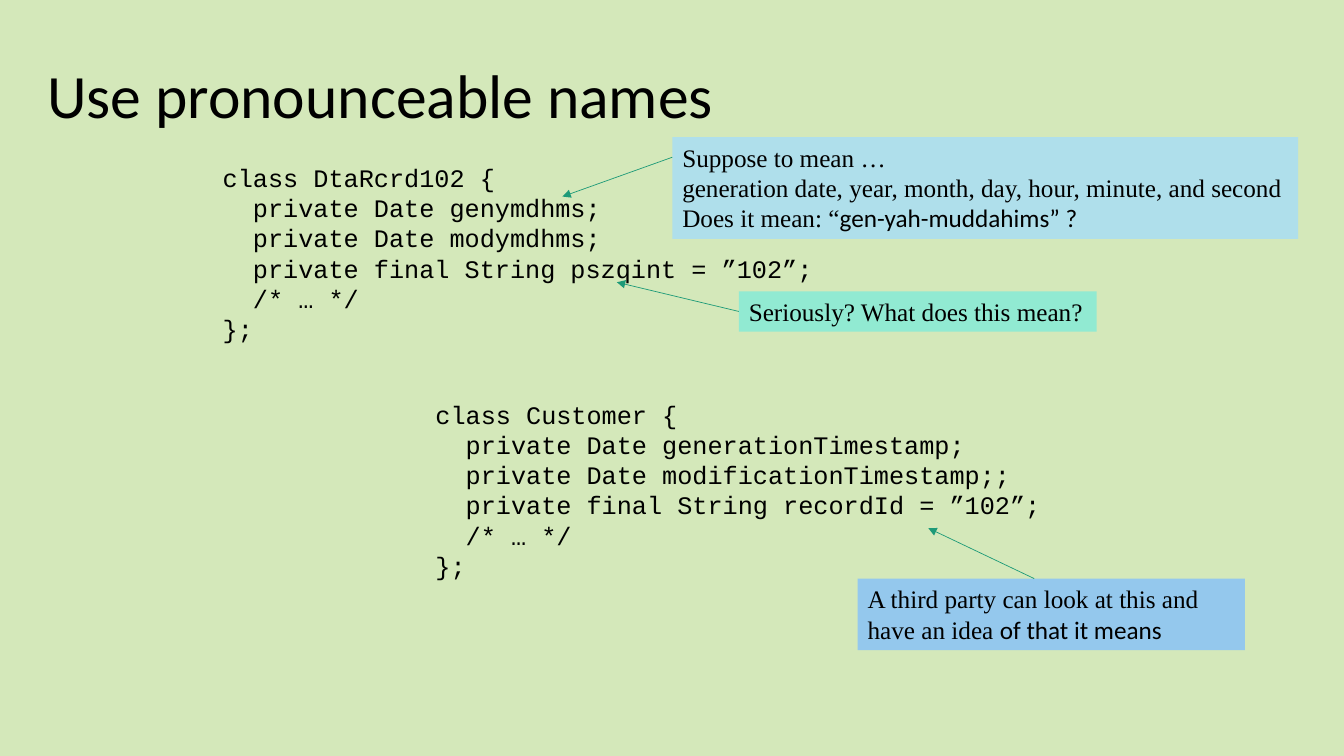
from dataclasses import dataclass

import pptx
import pptx.dml.color
import pptx.enum.dml
import pptx.enum.shapes
import pptx.enum.text
import pptx.oxml.ns
import pptx.shapes.base
import pptx.slide
import pptx.text.text
import pptx.util
from lxml import etree

Pt = pptx.util.Pt
RGBColor = pptx.dml.color.RGBColor

BACKGROUND = RGBColor(0xD4, 0xE8, 0xBA)
TEXT = RGBColor(0x00, 0x00, 0x00)
ARROW = RGBColor(0x1D, 0x9A, 0x78)
PALE_BLUE = RGBColor(0xAF, 0xDF, 0xEB)
MINT = RGBColor(0x91, 0xEA, 0xD2)
SKY_BLUE = RGBColor(0x94, 0xC8, 0xED)

SANS = "Calibri"
SERIF = "Times New Roman"
MONO = "Courier New"
TITLE_SIZE = 44
BODY_SIZE = 18
CODE_INSET = 39.6
CODE_WIDTH, CODE_HEIGHT = 480.24, 138.24


@dataclass(frozen=True)
class Box:
    left: float
    top: float
    width: float
    height: float


@dataclass(frozen=True)
class CodeSample:
    left: float
    top: float
    lines: tuple[str, ...]


@dataclass(frozen=True)
class Remark:
    """A filled note whose arrow runs from its edge to the code it is about."""

    box: Box
    fill: RGBColor
    wraps: bool
    paragraphs: tuple[tuple[tuple[str, str], ...], ...]
    arrow_start: tuple[float, float]
    arrow_end: tuple[float, float]


TITLE_BOX = Box(26.64, 18, 828, 104.4)

CODE_SAMPLES = (
    CodeSample(119.52, 112.32, (
        "class DtaRcrd102 {",
        "  private Date genymdhms;",
        "  private Date modymdhms;",
        "  private final String pszqint = ”102”;",
        "  /* … */",
        "};",
    )),
    CodeSample(271.44, 281.52, (
        "class Customer {",
        "  private Date generationTimestamp;",
        "  private Date modificationTimestamp;;",
        "  private final String recordId = ”102”;",
        "  /* … */",
        "};",
    )),
)

REMARKS = (
    Remark(
        Box(480.24, 97.92, 447.12, 72.72), PALE_BLUE, False,
        (
            (("Suppose to mean …", SERIF),),
            (("generation date, year, month, day, hour, minute, and second", SERIF),),
            (("Does it mean: “", SERIF), ("gen-yah-muddahims” ?", SANS)),
        ),
        (480.24, 112.32), (401.76, 140.4),
    ),
    Remark(
        Box(527.76, 208.08, 255.6, 28.8), MINT, False,
        ((("Seriously? What does this mean?", SERIF),),),
        (527.76, 222.48), (440.64, 201.6),
    ),
    Remark(
        Box(612.72, 413.28, 276.48, 51.12), SKY_BLUE, True,
        ((
            ("A third party can look at this and have an idea ", SERIF),
            ("of that it means", SANS),
        ),),
        (738.72, 413.28), (663.12, 377.28),
    ),
)


def place(box: Box) -> tuple[int, int, int, int]:
    """Return the box as python-pptx position and size arguments."""
    return Pt(box.left), Pt(box.top), Pt(box.width), Pt(box.height)


def add_run(paragraph, text: str, font_name: str, size: float = BODY_SIZE) -> None:
    run = paragraph.add_run()
    run.text = text
    run.font.name = font_name
    run.font.size = Pt(size)
    run.font.color.rgb = TEXT


def add_title(slide: pptx.slide.Slide, text: str) -> None:
    frame = slide.shapes.add_textbox(*place(TITLE_BOX)).text_frame
    frame.word_wrap = True
    frame.vertical_anchor = pptx.enum.text.MSO_ANCHOR.MIDDLE
    paragraph = frame.paragraphs[0]
    paragraph.line_spacing = 0.9
    add_run(paragraph, text, SANS, TITLE_SIZE)


def add_code(slide: pptx.slide.Slide, sample: CodeSample) -> None:
    box = Box(sample.left, sample.top, CODE_WIDTH, CODE_HEIGHT)
    frame = slide.shapes.add_textbox(*place(box)).text_frame
    frame.word_wrap = True
    frame.margin_left = Pt(CODE_INSET)
    paragraph = frame.paragraphs[0]
    for index, line in enumerate(sample.lines):
        if index:
            paragraph.add_line_break()
        add_run(paragraph, line, MONO)


def add_arrow(slide: pptx.slide.Slide, start: tuple[float, float], end: tuple[float, float]) -> None:
    connector = slide.shapes.add_connector(
        pptx.enum.shapes.MSO_CONNECTOR.STRAIGHT, *map(Pt, start + end)
    )
    connector.line.color.rgb = ARROW
    connector.line.width = Pt(0.5)
    qualified = pptx.oxml.ns.qn
    etree.SubElement(connector.line._get_or_add_ln(), qualified("a:tailEnd"), type="triangle")
    etree.SubElement(connector._element.spPr, qualified("a:effectLst"))


def add_remark(slide: pptx.slide.Slide, remark: Remark) -> None:
    shape = slide.shapes.add_shape(
        pptx.enum.shapes.MSO_SHAPE.RECTANGLE, *place(remark.box)
    )
    shape.shadow.inherit = False
    shape.fill.solid()
    shape.fill.fore_color.rgb = remark.fill
    shape.line.fill.background()
    frame = shape.text_frame
    frame.word_wrap = remark.wraps
    frame.vertical_anchor = pptx.enum.text.MSO_ANCHOR.TOP
    for index, runs in enumerate(remark.paragraphs):
        paragraph = frame.add_paragraph() if index else frame.paragraphs[0]
        paragraph.alignment = pptx.enum.text.PP_ALIGN.LEFT
        for text, font_name in runs:
            add_run(paragraph, text, font_name)
    add_arrow(slide, remark.arrow_start, remark.arrow_end)


def main() -> None:
    presentation = pptx.Presentation()
    presentation.slide_width = Pt(960)
    presentation.slide_height = Pt(540)
    slide = presentation.slides.add_slide(presentation.slide_layouts[6])
    slide.background.fill.solid()
    slide.background.fill.fore_color.rgb = BACKGROUND

    add_title(slide, "Use pronounceable names")
    for sample in CODE_SAMPLES:
        add_code(slide, sample)
    for remark in REMARKS:
        add_remark(slide, remark)
    presentation.save("out.pptx")


if __name__ == "__main__":
    main()
